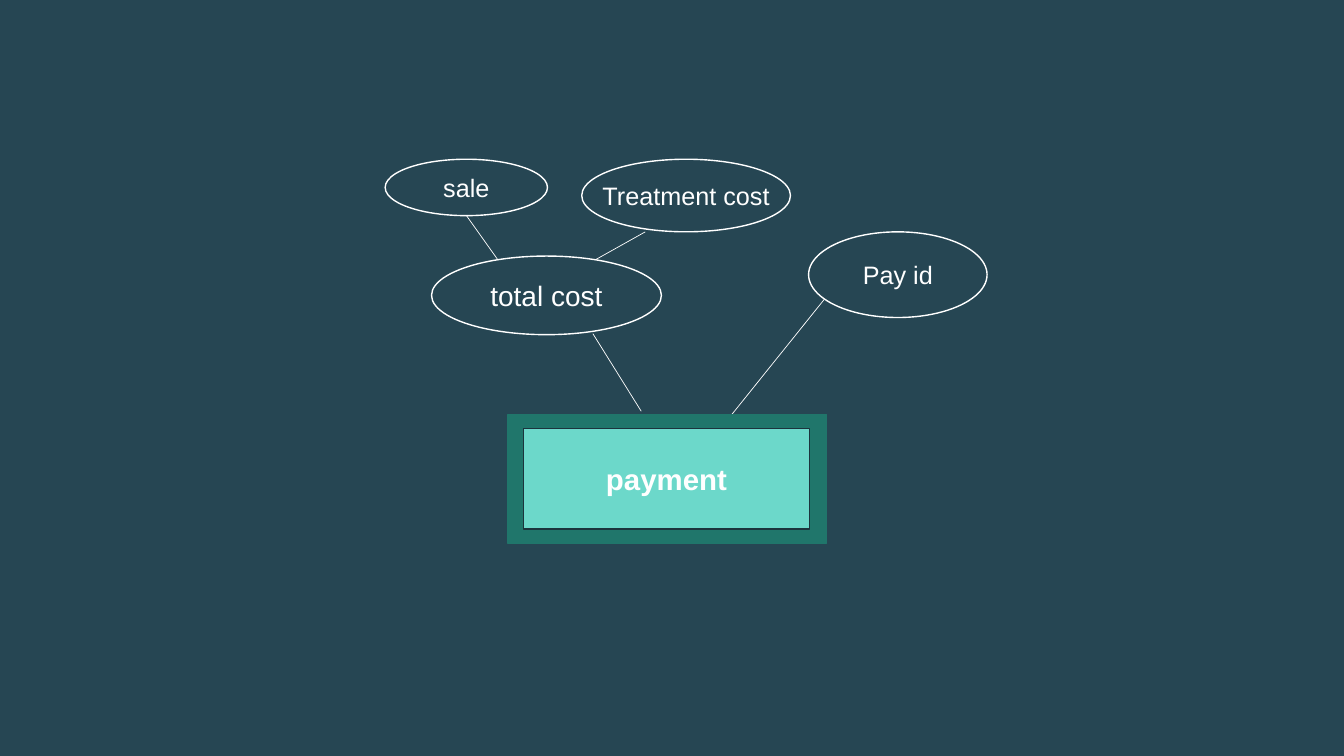
import pptx
import pptx.util
import pptx.dml.color
import pptx.enum.shapes
import pptx.enum.text
import pptx.oxml

Inches, Pt = pptx.util.Inches, pptx.util.Pt
SHAPE = pptx.enum.shapes.MSO_SHAPE

COLORS = {
    "background": "264653",
    "white": "FFFFFF",
    "frame": "20766B",
    "entity": "6CD8CA",
    "outline": "1C343D",
}

# text, (left, top, width, height), size
ATTRIBUTES = [
    ("total cost", (4.28, 2.54, 2.28, 0.78), 20),
    ("sale", (3.82, 1.58, 1.61, 0.56), 18),
    ("Treatment cost", (5.77, 1.58, 2.07, 0.72), 18),
    ("Pay id", (8.02, 2.3, 1.77, 0.85), 18),
]
FRAME_BOX = (5.04, 4.11, 3.16, 1.28)
ENTITY = ("payment", (5.19, 4.25, 2.84, 1), 21)

# (x, y) of both ends
LINKS = [
    ((4.62, 2.13), (4.94, 2.58)),   # sale to total cost
    ((6.4, 2.3), (5.9, 2.58)),      # treatment cost to total cost
    ((5.88, 3.31), (6.36, 4.08)),   # total cost to payment
    ((8.2, 2.94), (7.26, 4.11)),    # pay id to payment
]


def rgb(name):
    return pptx.dml.color.RGBColor.from_string(COLORS[name])


def add_link(slide, start, end):
    s = slide.shapes.add_connector(
        pptx.enum.shapes.MSO_CONNECTOR.STRAIGHT,
        *(Inches(v) for v in start + end))
    s.line.color.rgb = rgb("white")
    s.line.width = Pt(0.5)
    s._element.spPr.append(pptx.oxml.parse_xml(
        '<a:effectLst xmlns:a="http://schemas.openxmlformats.org/drawingml/2006/main"/>'))


def add_node(slide, kind, box, fill, line, text="", size=18, bold=False):
    s = slide.shapes.add_shape(kind, *(Inches(v) for v in box))
    s.shadow.inherit = False
    s.fill.solid()
    s.fill.fore_color.rgb = rgb(fill)
    s.line.color.rgb = rgb(line)
    s.line.width = Pt(1)
    if text:
        tf = s.text_frame
        tf.word_wrap = False
        tf.vertical_anchor = pptx.enum.text.MSO_ANCHOR.MIDDLE
        p = tf.paragraphs[0]
        p.alignment = pptx.enum.text.PP_ALIGN.CENTER
        r = p.add_run()
        r.text = text
        r.font.name = "Arial"
        r.font.size = Pt(size)
        r.font.bold = bold
        r.font.color.rgb = rgb("white")


def main():
    prs = pptx.Presentation()
    prs.slide_width, prs.slide_height = Inches(13.33), Inches(7.5)
    slide = prs.slides.add_slide(prs.slide_layouts[6])
    slide.background.fill.solid()
    slide.background.fill.fore_color.rgb = rgb("background")

    for start, end in LINKS:
        add_link(slide, start, end)
    for text, box, size in ATTRIBUTES:
        add_node(slide, SHAPE.OVAL, box, "background", "white", text, size)
    add_node(slide, SHAPE.RECTANGLE, FRAME_BOX, "frame", "frame")
    text, box, size = ENTITY
    add_node(slide, SHAPE.RECTANGLE, box, "entity", "outline", text, size, bold=True)

    prs.save("out.pptx")


if __name__ == "__main__":
    main()
